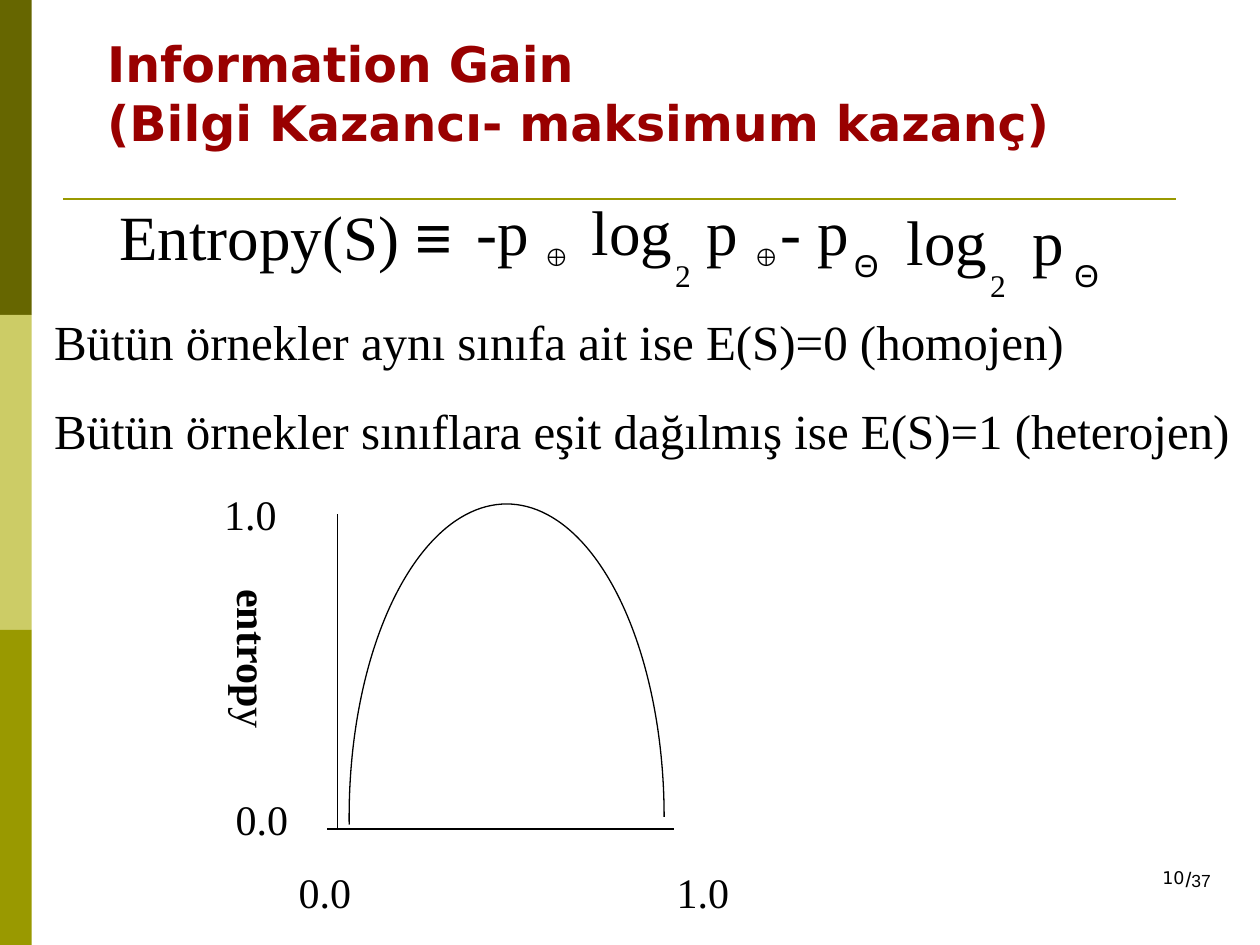
from lxml import etree
from pptx import Presentation
from pptx.dml.color import RGBColor
from pptx.enum.shapes import MSO_CONNECTOR, MSO_SHAPE
from pptx.enum.text import MSO_ANCHOR, PP_ALIGN
from pptx.oxml.ns import qn
from pptx.util import Cm, Pt

RECTANGLE, ARC = MSO_SHAPE.RECTANGLE, MSO_SHAPE.ARC
STRAIGHT = MSO_CONNECTOR.STRAIGHT
LEFT, RIGHT = PP_ALIGN.LEFT, PP_ALIGN.RIGHT
TOP, BOTTOM = MSO_ANCHOR.TOP, MSO_ANCHOR.BOTTOM

BLACK = RGBColor(0x00, 0x00, 0x00)
DARK_RED = RGBColor(0x99, 0x00, 0x00)
DARK_OLIVE = RGBColor(0x66, 0x66, 0x00)
LIGHT_OLIVE = RGBColor(0xCC, 0xCC, 0x66)
OLIVE = RGBColor(0x99, 0x99, 0x00)

SERIF, SANS, TITLE_FONT = "Times New Roman", "Arial", "DejaVu Sans"

STATEMENTS = [
    "Bütün örnekler aynı sınıfa ait ise E(S)=0 (homojen)",
    "Bütün örnekler sınıflara eşit dağılmış ise E(S)=1 (heterojen)",
]

# text, left, top, width, size, font
FORMULA_TERMS = [
    ("log", 11.68, 3.76, 2.34, 36, SERIF),
    ("2", 13.36, 5.03, 1.27, 18, SERIF),
    ("- p", 15.49, 3.76, 2.54, 36, SERIF),
    ("Θ", 16.97, 4.83, 0.97, 18, SANS),
    ("log", 18.03, 3.96, 2.34, 36, SERIF),
    ("2", 19.71, 5.23, 1.47, 18, SERIF),
    ("p", 20.57, 3.96, 1.91, 36, SERIF),
    ("Θ", 21.41, 5.03, 0.97, 18, SANS),
]

# text, left, top
AXIS_LABELS = [
    ("1.0", 13.39, 17.35),
    ("0.0", 5.77, 17.35),
    ("1.0", 4.27, 9.73),
    ("0.0", 4.5, 15.88),
]


def add_text(slide, lines, left, top, width, height, size, font=SERIF,
             color=BLACK, bold=False, align=LEFT, anchor=TOP, gap=0):
    """Add a text box with one paragraph per line and return its text frame."""
    frame = slide.shapes.add_textbox(Cm(left), Cm(top), Cm(width), Cm(height)).text_frame
    frame.word_wrap = True
    frame.vertical_anchor = anchor
    for index, line in enumerate(lines):
        paragraph = frame.paragraphs[0] if index == 0 else frame.add_paragraph()
        paragraph.text = line
        paragraph.alignment = align
        if index:
            paragraph.space_before = Pt(gap)
        paragraph.font.size = Pt(size)
        paragraph.font.name = font
        paragraph.font.bold = bold
        paragraph.font.color.rgb = color
    return frame


def append_run(frame, text):
    run = frame.paragraphs[0].add_run()
    run.text = text
    return run


def add_line(slide, x1, y1, x2, y2, color, width):
    line = slide.shapes.add_connector(STRAIGHT, Cm(x1), Cm(y1), Cm(x2), Cm(y2))
    line.line.color.rgb = color
    line.line.width = Pt(width)
    etree.SubElement(line._element.spPr, qn("a:effectLst"))


def add_side_bands(slide):
    band_height = 6.35
    for index, color in enumerate((DARK_OLIVE, LIGHT_OLIVE, OLIVE)):
        band = slide.shapes.add_shape(RECTANGLE, 0, Cm(index * band_height),
                                      Cm(0.64), Cm(band_height))
        band.shadow.inherit = False
        band.fill.solid()
        band.fill.fore_color.rgb = color
        band.line.fill.background()


def add_entropy_curve(slide):
    add_line(slide, 6.6, 16.71, 13.59, 16.71, BLACK, 0.75)
    add_line(slide, 6.81, 16.71, 6.81, 10.36, BLACK, 0.75)

    curve = slide.shapes.add_shape(ARC, Cm(7.04), Cm(10.16), Cm(6.35), Cm(12.62))
    start_degrees = 177.25
    curve.adjustments[0] = start_degrees * 0.6  # 60000 units a degree, over 100000
    curve.adjustments[1] = 0
    curve.shadow.inherit = False
    curve.fill.background()
    curve.line.color.rgb = BLACK
    curve.line.width = Pt(0.75)

    for text, left, top in AXIS_LABELS:
        add_text(slide, [text], left, top, 3.61, 1.27, 24)

    axis_name = add_text(slide, ["entrop"], 4.24, 11.63, 1.52, 4.88, 24, bold=True)
    append_run(axis_name, "y").font.bold = False
    axis_name.margin_left = axis_name.margin_right = Cm(0.13)
    axis_name.margin_top = axis_name.margin_bottom = Cm(0.25)
    axis_name._txBody.bodyPr.set("vert", "eaVert")


def add_formula(slide):
    entropy = add_text(slide, ["Entropy(S) "], 2.16, 3.86, 7.42, 1.78, 36)
    append_run(entropy, "≡").font.name = SANS

    for text, left in (("-p ", 9.35), ("p ", 14)):
        probability = add_text(slide, [text], left, 3.76, 2.54, 1.83, 36)
        plus = append_run(probability, "⊕")
        plus.font.name = SANS
        plus.font.size = Pt(24)
        plus.font._element.set("baseline", "-25000")

    for text, left, top, width, size, font in FORMULA_TERMS:
        add_text(slide, [text], left, top, width, size * 0.05, size, font)


def add_page_number(slide):
    total = add_text(slide, ["/"], 23.65, 17.35, 1.47, 0.76, 12, SANS)
    append_run(total, "37").font.size = Pt(10)
    add_text(slide, ["10"], 18.21, 17.35, 5.92, 1.27, 10, TITLE_FONT, align=RIGHT)


def main():
    presentation = Presentation()
    presentation.slide_width, presentation.slide_height = Cm(25.4), Cm(19.05)
    slide = presentation.slides.add_slide(presentation.slide_layouts[6])

    add_side_bands(slide)
    add_line(slide, 1.27, 4.01, 23.7, 4.01, OLIVE, 1.5)
    add_text(slide, ["Information Gain\v(Bilgi Kazancı- maksimum kazanç)"],
             1.91, 0, 23.49, 3.18, 28, TITLE_FONT, DARK_RED, bold=True, anchor=BOTTOM)
    add_entropy_curve(slide)
    add_formula(slide)
    add_text(slide, STATEMENTS, 0.84, 6.15, 24.56, 3.25, 28, gap=17.5)
    add_page_number(slide)

    presentation.save("out.pptx")


if __name__ == "__main__":
    main()
